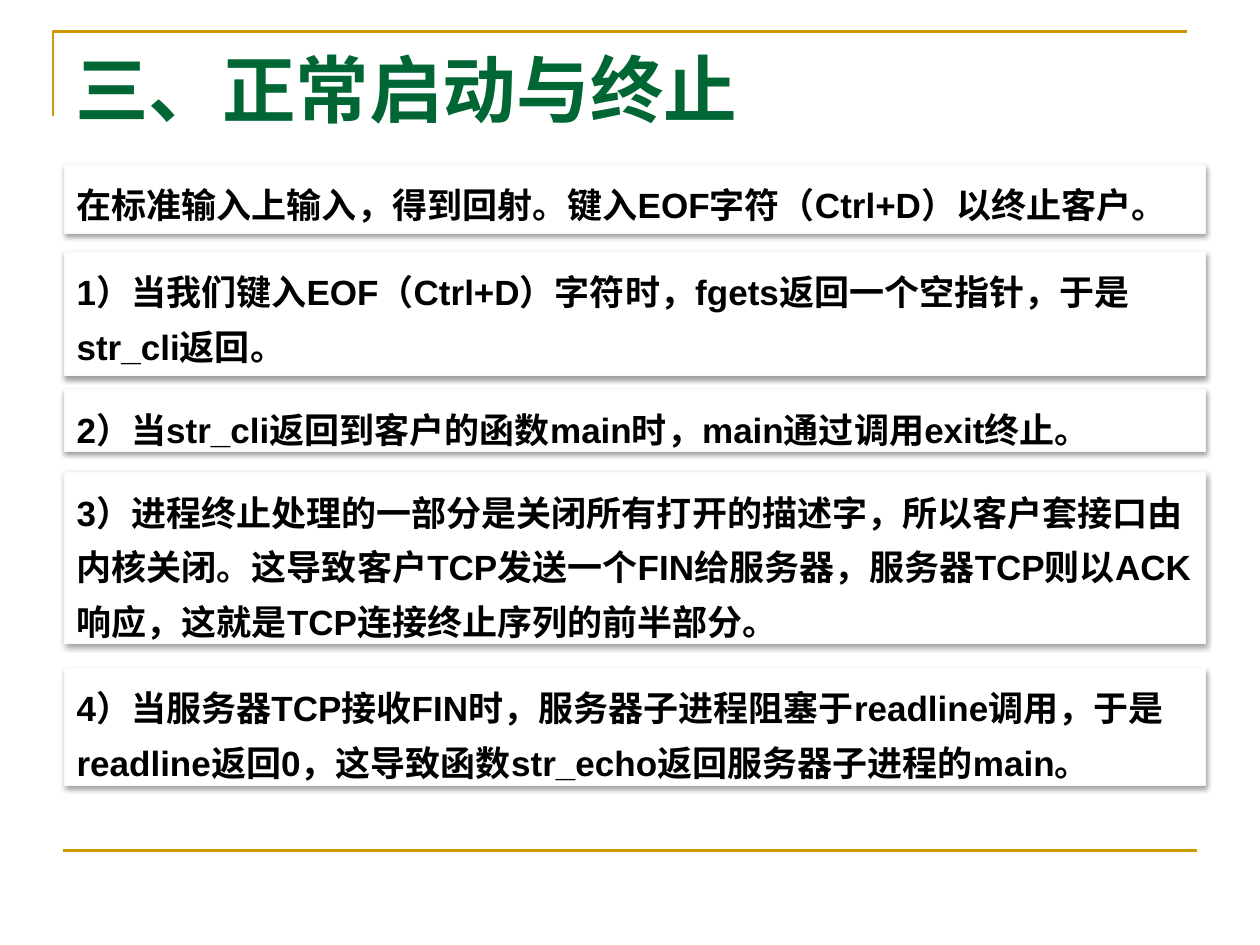
from lxml.etree import SubElement
from pptx import Presentation
from pptx.dml.color import RGBColor
from pptx.enum.shapes import MSO_CONNECTOR, MSO_SHAPE
from pptx.enum.text import MSO_ANCHOR, PP_ALIGN
from pptx.oxml import parse_xml
from pptx.oxml.ns import nsdecls, qn
from pptx.util import Inches, Pt

GOLD = RGBColor(0xCC, 0x99, 0x00)
GREEN = RGBColor(0x00, 0x66, 0x33)
BLACK = RGBColor(0x00, 0x00, 0x00)
WHITE = RGBColor(0xFF, 0xFF, 0xFF)
PALE = RGBColor(0xF9, 0xF9, 0xF9)

TITLE = "三、正常启动与终止"
# top, height, text
STEPS = [
    (1.31, 0.54, "在标准输入上输入，得到回射。键入EOF字符（Ctrl+D）以终止客户。"),
    (2.00, 0.98, "1）当我们键入EOF（Ctrl+D）字符时，fgets返回一个空指针，于是str_cli返回。"),
    (3.09, 0.49, "2）当str_cli返回到客户的函数main时，main通过调用exit终止。"),
    (3.75, 1.36, "3）进程终止处理的一部分是关闭所有打开的描述字，所以客户套接口由内核关闭。"
                 "这导致客户TCP发送一个FIN给服务器，服务器TCP则以ACK响应，"
                 "这就是TCP连接终止序列的前半部分。"),
    (5.30, 0.93, "4）当服务器TCP接收FIN时，服务器子进程阻塞于readline调用，"
                 "于是readline返回0，这导致函数str_echo返回服务器子进程的main。"),
]
LEFT, WIDTH = 0.51, 9.06

SHADOW = f"""<a:effectLst {nsdecls("a")}>
  <a:outerShdw blurRad="40000" dist="20000" dir="5400000" rotWithShape="0">
    <a:srgbClr val="000000"><a:alpha val="38000"/></a:srgbClr>
  </a:outerShdw>
</a:effectLst>"""


def write(shape, text, font, size, color):
    frame = shape.text_frame
    frame.word_wrap = True
    frame.vertical_anchor = MSO_ANCHOR.TOP
    frame.text = text
    para = frame.paragraphs[0]
    para.alignment = PP_ALIGN.LEFT
    face = para.runs[0].font
    face.name, face.size, face.bold = font, Pt(size), True
    face.color.rgb = color
    return para


def add_frame(slide):
    """Draw the gold corner above the title and the gold rule at the foot."""
    pen = slide.shapes.build_freeform(Inches(0.42), Inches(0.92))
    pen.add_line_segments(
        [(Inches(0.42), Inches(0.25)), (Inches(9.42), Inches(0.25))], close=False)
    corner = pen.convert_to_shape()
    corner.shadow.inherit = False
    corner.fill.background()
    rule = slide.shapes.add_connector(
        MSO_CONNECTOR.STRAIGHT, Inches(0.5), Inches(6.75), Inches(9.5), Inches(6.75))
    SubElement(rule._element.spPr, qn("a:effectLst"))
    for item in (corner, rule):
        item.line.color.rgb = GOLD
        item.line.width = Pt(1.5)


def add_step(slide, top, height, text):
    box = slide.shapes.add_shape(
        MSO_SHAPE.RECTANGLE, Inches(LEFT), Inches(top), Inches(WIDTH), Inches(height))
    box.fill.solid()
    box.fill.fore_color.rgb = WHITE
    box.line.color.rgb = PALE
    box.line.width = Pt(0.75)
    box._element.spPr.append(parse_xml(SHADOW))
    write(box, text, "Arial", 20, BLACK).line_spacing = 1.3


def main():
    deck = Presentation()
    deck.slide_width, deck.slide_height = Inches(10), Inches(7.5)
    slide = deck.slides.add_slide(deck.slide_layouts[6])
    add_frame(slide)
    title = slide.shapes.add_textbox(
        Inches(0.5), Inches(0.3), Inches(8.28), Inches(1.25))
    write(title, TITLE, "Times New Roman", 42, GREEN)
    for step in STEPS:
        add_step(slide, *step)
    deck.save("out.pptx")


if __name__ == "__main__":
    main()
